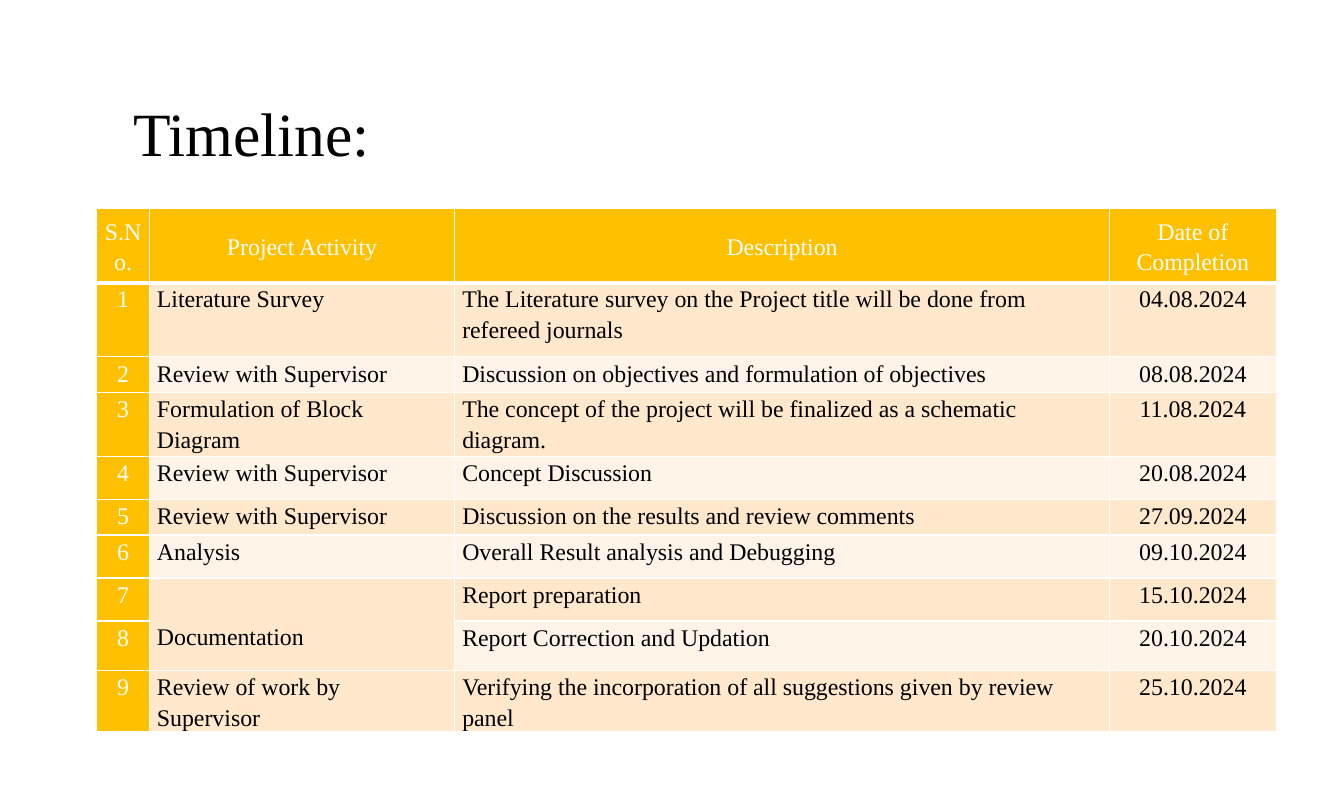
import pptx
import pptx.dml.color
import pptx.enum.text
import pptx.oxml
import pptx.oxml.ns
import pptx.util
from pptx.util import Inches

FONT = "Times New Roman"
GOLD, PEACH, CREAM = "FFC000", "FFE8CC", "FFF4E7"
WHITE, BLACK = "FFFFFF", "000000"
ALIGN = pptx.enum.text.PP_ALIGN
ANCHOR = pptx.enum.text.MSO_ANCHOR

COLUMN_WIDTHS = [0.49, 2.84, 6.09, 1.55]
ROW_HEIGHTS = [0.69, 0.69, 0.33, 0.6, 0.4, 0.33, 0.4, 0.4, 0.46, 0.33]
HEADINGS = ["S.No.", "Project Activity", "Description", "Date of Completion"]
ACTIVITIES = [
    ("Literature Survey",
     "The Literature survey on the Project title will be done from refereed journals",
     "04.08.2024"),
    ("Review with Supervisor",
     "Discussion on objectives and formulation of objectives", "08.08.2024"),
    ("Formulation of Block Diagram",
     "The concept of the project will be finalized as a schematic diagram.",
     "11.08.2024"),
    ("Review with Supervisor", "Concept Discussion", "20.08.2024"),
    ("Review with Supervisor",
     "Discussion on the results and review comments", "27.09.2024"),
    ("Analysis", "Overall Result analysis and Debugging", "09.10.2024"),
    ("Documentation", "Report preparation", "15.10.2024"),
    ("", "Report Correction and Updation", "20.10.2024"),
    ("Review of work by Supervisor",
     "Verifying the incorporation of all suggestions given by review panel",
     "25.10.2024"),
]
DOCUMENTATION_ROW = 7


def color(value):
    return pptx.dml.color.RGBColor.from_string(value)


def set_font(para, size, value):
    para.font.name = FONT
    para.font.size = pptx.util.Pt(size)
    para.font.bold = False
    para.font.color.rgb = color(value)


def set_borders(cell, bottom_width):
    """Draw white borders, 1 pt wide except at the bottom."""
    properties = cell._tc.get_or_add_tcPr()
    for side, width in zip("LRTB", (1, 1, 1, bottom_width)):
        properties.append(pptx.oxml.parse_xml(
            f'<a:ln{side} {pptx.oxml.ns.nsdecls("a")} w="{pptx.util.Pt(width)}">'
            f'<a:solidFill><a:srgbClr val="{WHITE}"/></a:solidFill></a:ln{side}>'))


def fill_cell(cell, text, row, column):
    is_header = row == 0
    is_gold = is_header or column == 0
    set_borders(cell, 3 if is_header else 1)
    cell.fill.solid()
    cell.fill.fore_color.rgb = color(GOLD if is_gold else PEACH if row % 2 else CREAM)
    cell.margin_left = cell.margin_right = Inches(0.07)
    cell.margin_top = cell.margin_bottom = 0
    cell.vertical_anchor = ANCHOR.MIDDLE if is_header else ANCHOR.TOP
    para = cell.text_frame.paragraphs[0]
    para.text = text
    para.alignment = ALIGN.CENTER if is_header or column in (0, 3) else ALIGN.LEFT
    para.line_spacing = 1.15
    para.space_after = pptx.util.Pt(10)
    set_font(para, 16, WHITE if is_gold else BLACK)


def add_title(page):
    title = page.shapes.title
    title.left, title.top = Inches(0.57), Inches(0.89)
    title.width, title.height = Inches(11.49), Inches(0.76)
    frame = title.text_frame
    frame.text = "Timeline:"
    frame.margin_left = Inches(0.67)
    frame.vertical_anchor = ANCHOR.MIDDLE
    para = frame.paragraphs[0]
    para.alignment = ALIGN.LEFT
    para.line_spacing = 0.9
    set_font(para, 41.2, BLACK)


def add_timeline(page):
    rows = [HEADINGS] + [(str(number), *activity)
                         for number, activity in enumerate(ACTIVITIES, 1)]
    table = page.shapes.add_table(
        len(rows), len(HEADINGS), Inches(0.9), Inches(1.94),
        Inches(sum(COLUMN_WIDTHS)), Inches(sum(ROW_HEIGHTS))).table
    table.first_row = table.horz_banding = False
    for column, width in zip(table.columns, COLUMN_WIDTHS):
        column.width = Inches(width)
    for row, height in zip(table.rows, ROW_HEIGHTS):
        row.height = Inches(height)
    for row, texts in enumerate(rows):
        for column, text in enumerate(texts):
            fill_cell(table.cell(row, column), text, row, column)
    documentation = table.cell(DOCUMENTATION_ROW, 1)
    documentation.merge(table.cell(DOCUMENTATION_ROW + 1, 1))
    documentation.margin_top = Inches(0.39)


def main():
    deck = pptx.Presentation()
    deck.slide_width, deck.slide_height = Inches(12.5), Inches(7.5)
    page = deck.slides.add_slide(deck.slide_layouts[5])
    add_timeline(page)
    add_title(page)
    deck.save("out.pptx")


if __name__ == "__main__":
    main()
